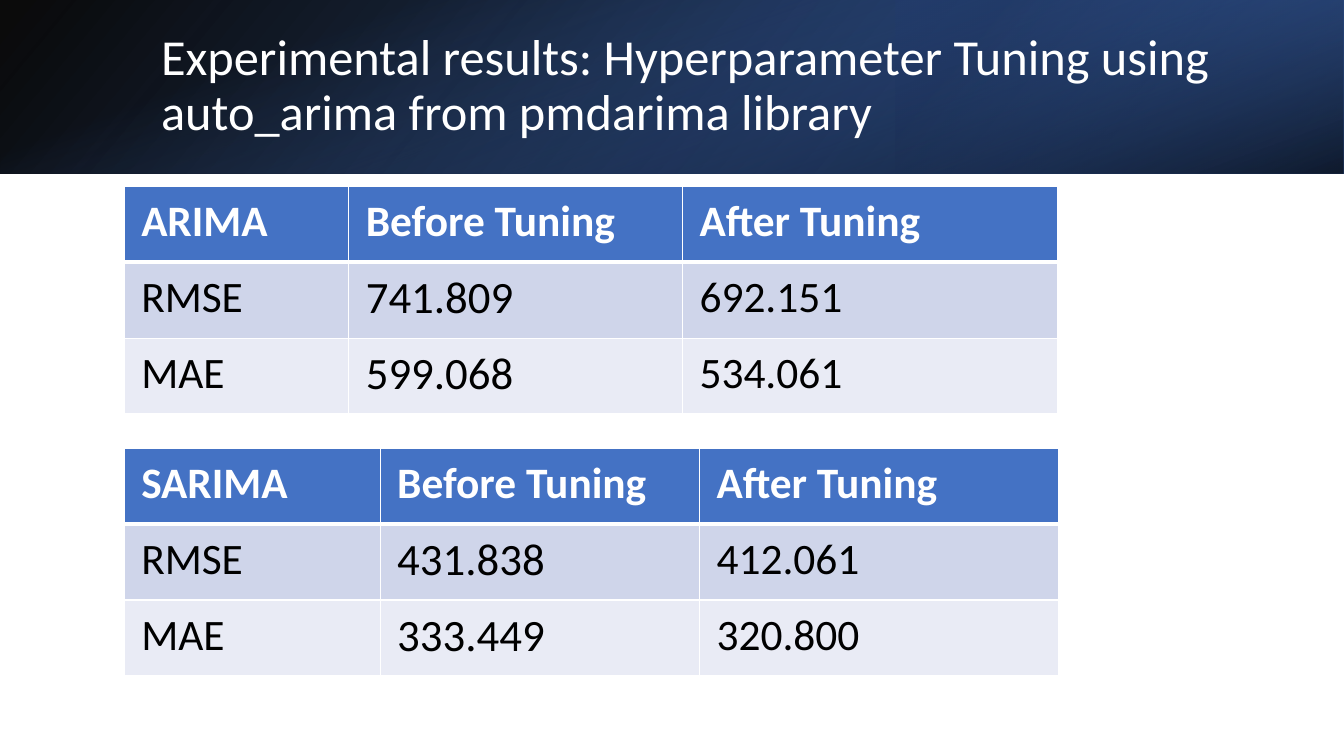
from lxml import etree
from pptx import Presentation
from pptx.dml.color import RGBColor
from pptx.enum import shapes, text
from pptx.oxml.ns import qn
from pptx.util import Cm, Pt

WHITE, BLACK, BLUE, NAVY = "FFFFFF", "000000", "4472C4", "203864"
ROW_FILLS = [BLUE, "CFD5EA", "E9EBF5"]
PAGE_WIDTH, PAGE_HEIGHT, BANNER_HEIGHT = 33.87, 19.05, 4.37


def color(value):
    return RGBColor.from_string(value)


def add_span(para, words, size, ink, bold=False):
    span = para.add_run()
    span.text = words
    formats = {"name": "Calibri", "size": Pt(size), "bold": bold}
    for name, value in formats.items():
        setattr(span.font, name, value)
    span.font.color.rgb = color(ink)


def add_solid(parent, value, opacity=100):
    ink = etree.SubElement(parent, qn("a:srgbClr"), val=value)
    if opacity < 100:
        etree.SubElement(ink, qn("a:alpha"), val=str(opacity * 1000))


def add_gradient_box(page, box, stops, angle, rotation=0, flip=False):
    shape = page.shapes.add_shape(shapes.MSO_SHAPE.RECTANGLE, *map(Cm, box))
    shape.shadow.inherit = False
    shape.line.fill.background()
    shape.rotation = rotation
    properties = shape.fill._xPr
    if flip:
        properties.find(qn("a:xfrm")).set("flipH", "1")
    # Clockwise gradient with transparent stops
    shape.fill.background()
    gradient = etree.Element(qn("a:gradFill"), rotWithShape="1")
    stop_list = etree.SubElement(gradient, qn("a:gsLst"))
    for position, value, opacity in stops:
        stop = etree.SubElement(stop_list, qn("a:gs"), pos=str(position * 1000))
        add_solid(stop, value, opacity)
    etree.SubElement(gradient, qn("a:lin"), ang=str(angle * 60000), scaled="0")
    properties.replace(properties.find(qn("a:noFill")), gradient)


def add_banner(page, box, title):
    left, top, width, height = box
    # Layered gradients
    add_gradient_box(page, box, [(0, BLACK, 96), (100, "2F5597", 100)], 140, flip=True)
    third = width / 3
    add_gradient_box(page, (left + width - third, top, third, height),
                     [(19, NAVY, 68), (100, BLUE, 79)], 320, 180, True)
    offset = (width - height) / 2
    add_gradient_box(page, (left + offset, top - offset, height, width),
                     [(23, BLUE, 0), (99, BLACK, 74)], 340, 90)
    # Title
    frame = page.shapes.add_textbox(Cm(left + 3.81), Cm(top + 0.97), Cm(27.89), Cm(2.44)).text_frame
    frame.word_wrap = True
    frame.vertical_anchor = text.MSO_ANCHOR.MIDDLE
    para = frame.paragraphs[0]
    para.line_spacing = 0.9
    add_span(para, title, 36, WHITE)


def add_borders(cell, row):
    properties = cell._tc.get_or_add_tcPr()
    widths = {"L": 1, "R": 1, "T": 3 if row == 1 else 1, "B": 3 if row == 0 else 1}
    for index, (side, points) in enumerate(widths.items()):
        line = etree.Element(qn("a:ln" + side), w=str(Pt(points)))
        add_solid(etree.SubElement(line, qn("a:solidFill")), WHITE)
        properties.insert(index, line)


def add_results(page, box, column_widths, rows):
    table = page.shapes.add_table(len(rows), len(column_widths), *map(Cm, box)).table
    for column, width in zip(table.columns, column_widths):
        column.width = Cm(width)
    insets = {"margin_left": 0.43, "margin_right": 0.43, "margin_top": 0.22, "margin_bottom": 0.22}
    for row, values in enumerate(rows):
        header = row == 0
        table.rows[row].height = Cm(box[3] / len(rows))
        for column, words in enumerate(values):
            cell = table.cell(row, column)
            for name, value in insets.items():
                setattr(cell, name, Cm(value))
            cell.fill.solid()
            cell.fill.fore_color.rgb = color(ROW_FILLS[row])
            add_borders(cell, row)
            size = 32 if column == 1 and not header else 31
            add_span(cell.text_frame.paragraphs[0], words, size, WHITE if header else BLACK, header)


def main():
    deck = Presentation()
    deck.slide_width, deck.slide_height = Cm(PAGE_WIDTH), Cm(PAGE_HEIGHT)
    page = deck.slides.add_slide(deck.slide_layouts[6])
    add_banner(page, (0, 0, PAGE_WIDTH, BANNER_HEIGHT),
               "Experimental results: Hyperparameter Tuning using auto_arima from pmdarima library")
    # Results before and after tuning, one table per model
    models = [
        ("ARIMA", 4.7, (5.66, 8.41, 9.45), ("741.809", "692.151"), ("599.068", "534.061")),
        ("SARIMA", 11.3, (6.45, 8.05, 9.04), ("431.838", "412.061"), ("333.449", "320.800")),
    ]
    for model, top, widths, rmse, mae in models:
        rows = [(model, "Before Tuning", "After Tuning"), ("RMSE", *rmse), ("MAE", *mae)]
        add_results(page, (3.13, top, sum(widths), 5.73), widths, rows)
    deck.save("out.pptx")


if __name__ == "__main__":
    main()
